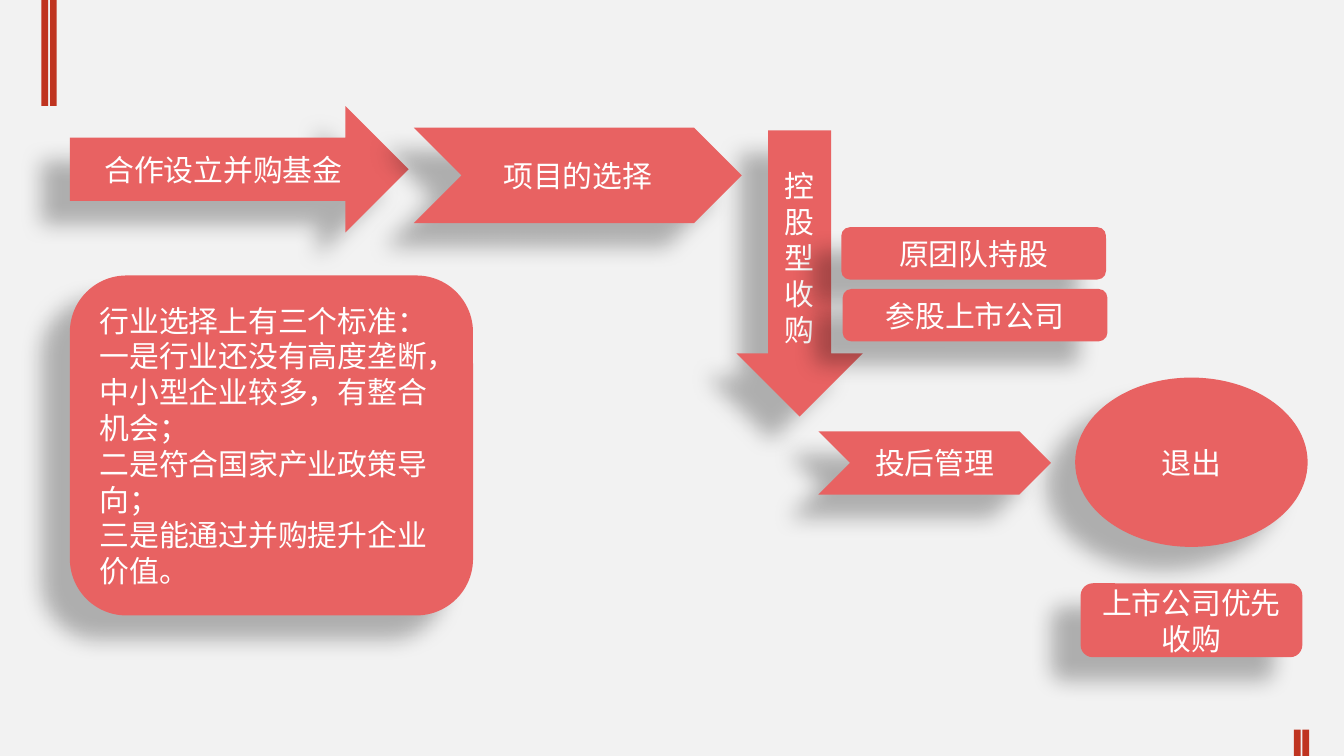
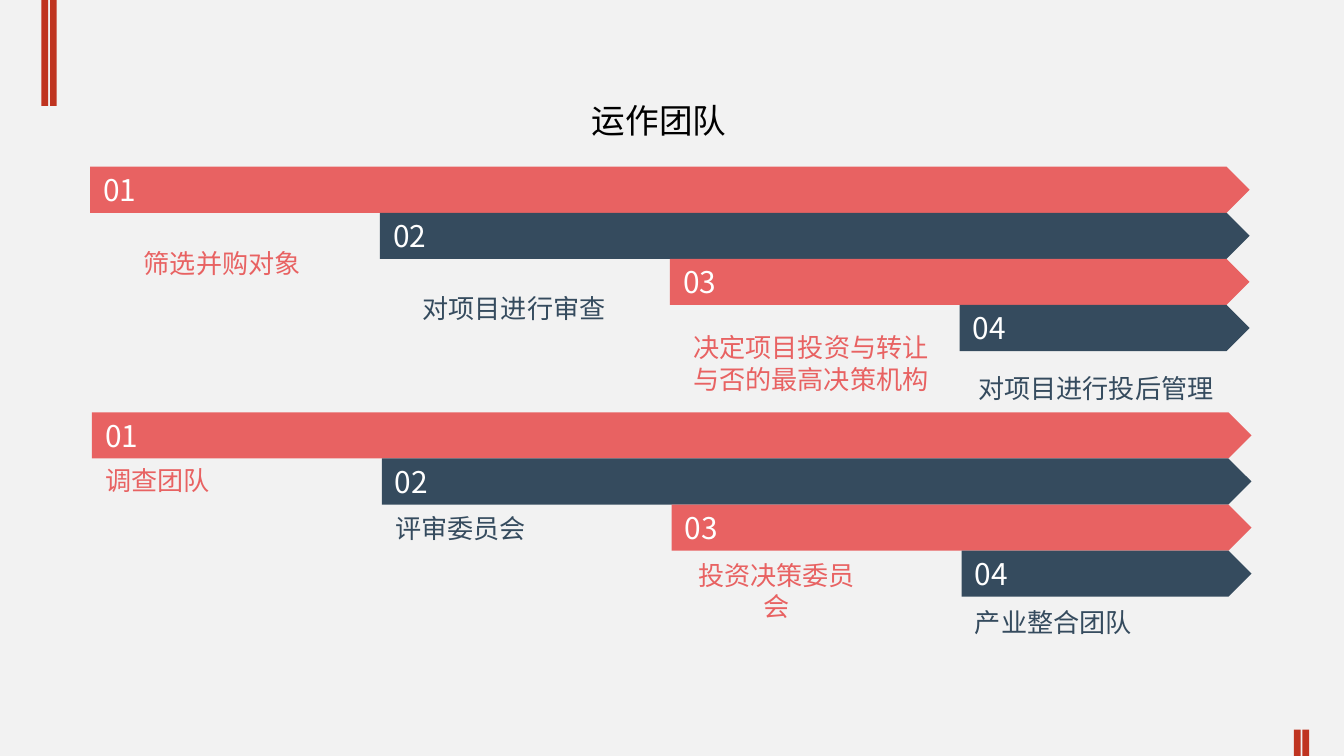
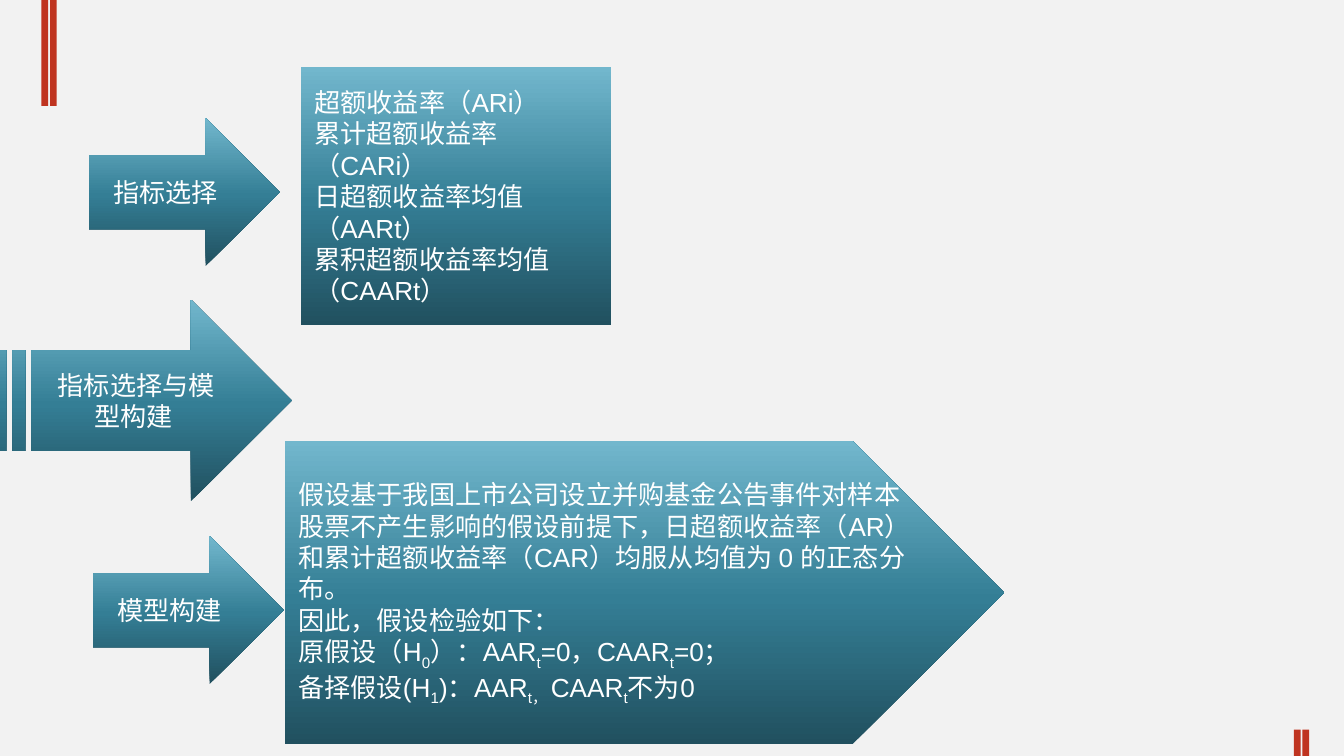
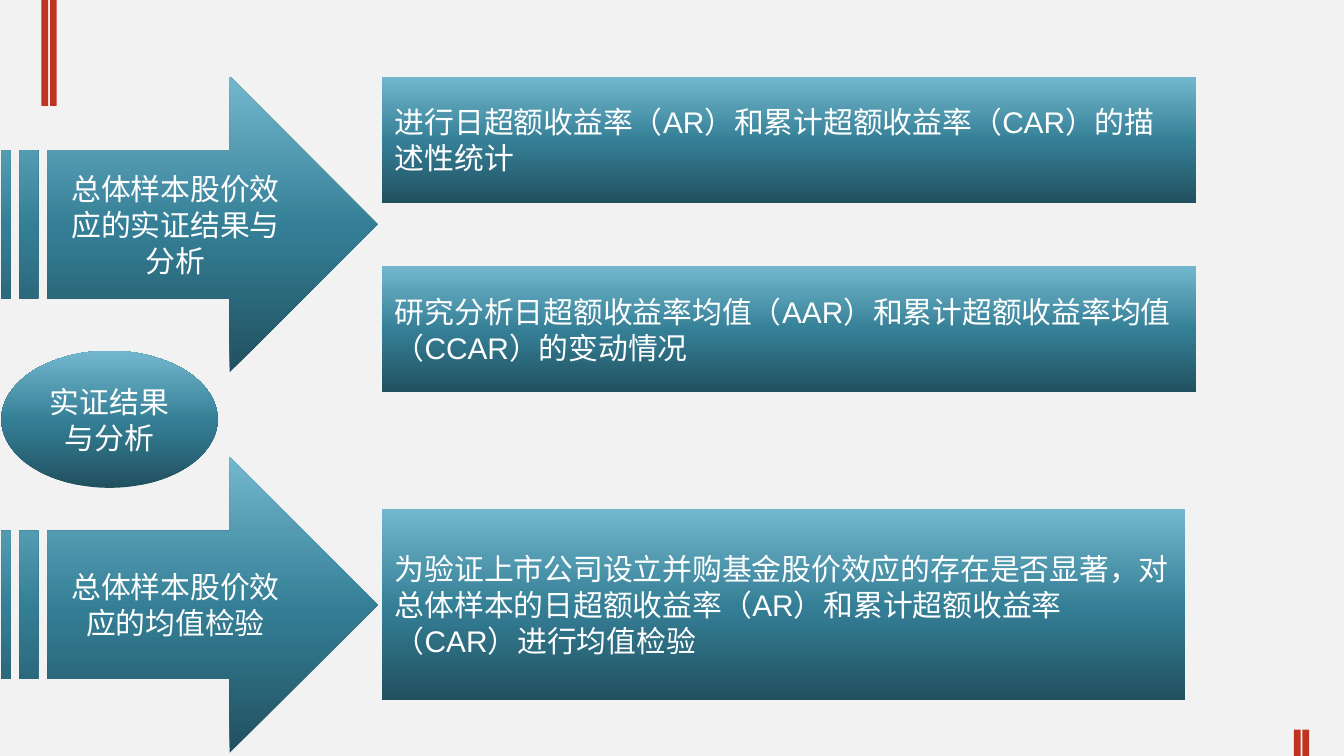
"""Build four slides on buyout funds: process, teams, model and empirical results."""
from copy import deepcopy
from dataclasses import dataclass

from lxml import etree
from pptx import Presentation
from pptx.dml.color import RGBColor as Rgb
from pptx.enum.shapes import MSO_SHAPE as Kind
from pptx.enum.text import MSO_ANCHOR as Anchor, MSO_AUTO_SIZE as AutoSize, PP_ALIGN as Align
from pptx.oxml.ns import qn
from pptx.presentation import Presentation as Deck
from pptx.shapes.autoshape import Shape
from pptx.slide import Slide
from pptx.util import Emu, Inches, Pt

GRID_COLUMNS = 100
GRID_ROWS = 56.25
CELL = Inches(0.1)
TITLE_ONLY, BLANK = 5, 6


@dataclass(frozen=True)
class Theme:
    background: str = "F2F2F2"
    band: str = "BF3420"
    coral: str = "E86262"
    navy: str = "354B5E"
    white: str = "FFFFFF"
    black: str = "000000"
    gradient: tuple[tuple[float, str], ...] = ((0, "21505F"), (0.48, "347E95"), (1, "72B7CD"))
    font: str = "Arial"
    number_font: str = "Noto Sans CJK SC"
    title_size: float = 18
    body_size: float = 16
    small_size: float = 14
    shadow_opacity: float = 0.28
    shadow_blur: float = 11.8
    shadow_distance: float = 19.7
    shadow_angle: int = 141


THEME = Theme()


@dataclass(frozen=True)
class Box:
    """A rectangle in grid columns and rows."""
    column: float
    row: float
    columns: float
    rows: float

    def lengths(self) -> tuple[Emu, ...]:
        return tuple(Emu(round(cells * CELL))
                     for cells in (self.column, self.row, self.columns, self.rows))


@dataclass(frozen=True)
class TextStyle:
    size: float = THEME.body_size
    color: str = THEME.white
    font: str = THEME.font
    align: Align = Align.CENTER
    anchor: Anchor = Anchor.MIDDLE
    wrap: bool = True
    grow: bool = False


@dataclass(frozen=True)
class Block:
    """A preset shape with its paragraphs; underscores enclose subscripts."""
    kind: Kind
    box: Box
    lines: tuple[str, ...]
    style: TextStyle = TextStyle()


@dataclass(frozen=True)
class Caption:
    text: str
    box: Box


CENTERED = TextStyle()
LEFT = TextStyle(align=Align.LEFT)
SMALL = TextStyle(size=THEME.small_size)
SMALL_LEFT = TextStyle(size=THEME.small_size, align=Align.LEFT)
NUMBER = TextStyle(font=THEME.number_font, align=Align.LEFT)
TITLE = TextStyle(size=THEME.title_size, color=THEME.black, anchor=Anchor.TOP, wrap=False, grow=True)

PROCESS = (
    Block(Kind.RIGHT_ARROW, Box(5.2, 7.9, 25.2, 9.4), ("合作设立并购基金",)),
    Block(Kind.DOWN_ARROW, Box(54.8, 9.7, 9.4, 21.3), ("控股型收购",)),
    Block(Kind.OVAL, Box(80, 28.1, 17.3, 12.6), ("退出",)),
    Block(Kind.ROUNDED_RECTANGLE, Box(5.2, 20.5, 30, 25.3), (
        "行业选择上有三个标准：",
        "一是行业还没有高度垄断，中小型企业较多，有整合机会；",
        "二是符合国家产业政策导向；",
        "三是能通过并购提升企业价值。"), LEFT),
    Block(Kind.ROUNDED_RECTANGLE, Box(62.6, 16.9, 19.7, 3.9), ("原团队持股",)),
    Block(Kind.ROUNDED_RECTANGLE, Box(62.7, 21.5, 19.7, 3.9), ("参股上市公司",)),
    Block(Kind.ROUNDED_RECTANGLE, Box(80.4, 43.4, 16.5, 5.5), ("上市公司优先收购",)),
    Block(Kind.CHEVRON, Box(30.8, 9.5, 24.4, 7.1), ("项目的选择",)),
    Block(Kind.CHEVRON, Box(60.9, 32.1, 17.3, 4.7), ("投后管理",)),
)

DUTIES = (
    Caption("筛选并购对象", Box(6.2, 17.9, 20.7, 3.4)),
    Caption("对项目进行审查", Box(27.9, 21.3, 20.7, 3.4)),
    Caption("决定项目投资与转让与否的最高决策机构", Box(50, 24.2, 20.7, 5.7)),
    Caption("对项目进行投后管理", Box(71.2, 27.2, 20.7, 3.4)),
)
TEAMS = ("调查团队", "评审委员会", "投资决策委员会", "产业整合团队")

MODEL = (
    Block(Kind.STRIPED_RIGHT_ARROW, Box(0, 22.3, 21.7, 15), ("指标选择与模型构建 ",), SMALL),
    Block(Kind.PENTAGON, Box(21.2, 32.8, 53.5, 22.6), (
        "假设基于我国上市公司设立并购基金公告事件对样本股票不产生影响的假设前提下，"
        "日超额收益率（AR）和累计超额收益率（CAR）均服从均值为 0 的正态分布。",
        "因此，假设检验如下：",
        "原假设（H_0_）：AAR_t_=0，CAAR_t_=0；",
        "备择假设(H_1_)：AAR_t， _CAAR_t_不为0"), SMALL_LEFT),
    Block(Kind.RIGHT_ARROW, Box(6.6, 8.8, 14.2, 11), ("指标选择",), SMALL),
    Block(Kind.RIGHT_ARROW, Box(6.9, 39.9, 14.2, 11), ("模型构建",), SMALL),
    Block(Kind.RECTANGLE, Box(22.4, 5, 23.1, 19.2), (
        "超额收益率（ARi）",
        "累计超额收益率（CARi）",
        "日超额收益率均值（AARt）",
        "累积超额收益率均值（CAARt）"), SMALL_LEFT),
)

RESULTS = (
    Block(Kind.STRIPED_RIGHT_ARROW, Box(0.1, 5.7, 28, 22), ("总体样本股价效应的实证结果与分析",)),
    Block(Kind.STRIPED_RIGHT_ARROW, Box(0.1, 34, 28, 22), ("总体样本股价效应的均值检验",)),
    Block(Kind.FLOWCHART_PROCESS, Box(28.4, 5.7, 60.6, 9.4), (
        "进行日超额收益率（AR）和累计超额收益率（CAR）的描述性统计",), LEFT),
    Block(Kind.FLOWCHART_PROCESS, Box(28.4, 19.8, 60.6, 9.4), (
        "研究分析日超额收益率均值（AAR）和累计超额收益率均值（CCAR）的变动情况",), LEFT),
    Block(Kind.FLOWCHART_PROCESS, Box(28.4, 37.9, 59.8, 14.2), (
        "为验证上市公司设立并购基金股价效应的存在是否显著，"
        "对总体样本的日超额收益率（AR）和累计超额收益率（CAR）进行均值检验",), LEFT),
    Block(Kind.OVAL, Box(0.1, 26.1, 16.1, 10.2), ("实证结果与分析",)),
)


def write_text(shape: Shape, lines: tuple[str, ...], style: TextStyle) -> None:
    """Fill a shape with styled paragraphs."""
    frame = shape.text_frame
    frame.word_wrap = style.wrap
    frame.vertical_anchor = style.anchor
    frame.auto_size = AutoSize.SHAPE_TO_FIT_TEXT if style.grow else AutoSize.NONE
    for index, line in enumerate(lines):
        paragraph = frame.paragraphs[0] if index == 0 else frame.add_paragraph()
        paragraph.alignment = style.align
        paragraph.font.size = Pt(style.size)
        paragraph.font.name = style.font
        paragraph.font.color.rgb = Rgb.from_string(style.color)
        for position, piece in enumerate(line.split("_")):
            if piece:
                run = paragraph.add_run()
                run.text = piece
                if position % 2:
                    run.font.bold = False
                    list(shape.element.iter(qn("a:rPr")))[-1].set("baseline", "-25000")


def add_plain_shape(slide: Slide, kind: Kind, box: Box, color: str) -> Shape:
    """Add a solid shape without outline or shadow."""
    shape = slide.shapes.add_shape(kind, *box.lengths())
    shape.shadow.inherit = False
    shape.line.fill.background()
    shape.fill.solid()
    shape.fill.fore_color.rgb = Rgb.from_string(color)
    return shape


def add_block(slide: Slide, block: Block, color: str = THEME.coral) -> Shape:
    """Add a shape with its text."""
    shape = add_plain_shape(slide, block.kind, block.box, color)
    write_text(shape, block.lines, block.style)
    return shape


def cast_shadow(shape: Shape) -> None:
    """Give a shape the soft shadow of the theme."""
    effects = shape.element.find(f".//{qn('a:effectLst')}")
    shadow = etree.SubElement(
        effects, qn("a:outerShdw"), blurRad=str(Pt(THEME.shadow_blur)),
        dist=str(Pt(THEME.shadow_distance)), dir=str(THEME.shadow_angle * 60000),
        algn="ctr", rotWithShape="0")
    color = etree.SubElement(shadow, qn("a:srgbClr"), val=THEME.black)
    etree.SubElement(color, qn("a:alpha"), val=str(round(THEME.shadow_opacity * 100000)))


def apply_gradient(shape: Shape) -> None:
    """Fill a shape with the vertical gradient of the theme."""
    shape.fill.gradient()
    shape.fill.gradient_angle = 90
    stop_list = shape.element.find(f".//{qn('a:gsLst')}")
    stop_list.append(deepcopy(stop_list[-1]))
    for stop, (position, color) in zip(shape.fill.gradient_stops, THEME.gradient):
        stop.position = position
        stop.color.rgb = Rgb.from_string(color)


def add_caption(slide: Slide, caption: Caption, color: str, wrap: bool) -> None:
    """Add a small coloured caption."""
    shape = slide.shapes.add_textbox(*caption.box.lengths())
    write_text(shape, (caption.text,), TextStyle(
        size=THEME.small_size, color=color, anchor=Anchor.TOP, wrap=wrap, grow=True))


def ladder_color(index: int) -> str:
    """Alternate the two ladder colours."""
    return (THEME.coral, THEME.navy)[index % 2]


def add_ladder(slide: Slide, column: float, row: float) -> None:
    """Add four numbered bars that step down to the right."""
    step, height, count = 21.57, 3.43, 4
    for index in range(count):
        box = Box(column + step * index, row + height * index, step * (count - index), height)
        add_block(slide, Block(Kind.PENTAGON, box, (f"{index + 1:02}",), NUMBER), ladder_color(index))


def add_new_slide(presentation: Deck, layout: int) -> Slide:
    """Add a slide with the chosen layout."""
    return presentation.slides.add_slide(presentation.slide_layouts[layout])


def build_process(presentation: Deck) -> Slide:
    """Build the buyout process slide."""
    slide = add_new_slide(presentation, BLANK)
    for block in PROCESS:
        cast_shadow(add_block(slide, block))
    return slide


def build_teams(presentation: Deck) -> None:
    """Build the slide of duties and teams."""
    slide = add_new_slide(presentation, TITLE_ONLY)
    title = slide.shapes.title
    title.left, title.top, title.width, title.height = Box(43, 6.9, 12.1, 4).lengths()
    write_text(title, ("运作团队",), TITLE)
    add_ladder(slide, 6.7, 12.4)
    for index, duty in enumerate(DUTIES):
        add_caption(slide, duty, ladder_color(index), True)
    add_ladder(slide, 6.84, 30.68)
    for index, team in enumerate(TEAMS):
        width = 2 + len(team) * THEME.small_size / 7.2
        box = Box(6.84 + 21.57 * index, 34.1 + 3.5 * index, width, 3.4)
        add_caption(slide, Caption(team, box), ladder_color(index), False)


def build_gradient_slide(presentation: Deck, blocks: tuple[Block, ...]) -> None:
    """Build a slide of gradient blocks."""
    slide = add_new_slide(presentation, BLANK)
    for block in blocks:
        apply_gradient(add_block(slide, block))


def decorate_master(presentation: Deck, slide: Slide) -> None:
    """Put the background and the corner bands on the master."""
    master = presentation.slide_master
    master.background.fill.solid()
    master.background.fill.fore_color.rgb = Rgb.from_string(THEME.background)
    for left, top, height in ((3.08, 0, 7.88), (96.27, 54.29, 1.96)):
        for offset in (0, 0.64):
            band = add_plain_shape(slide, Kind.RECTANGLE, Box(left + offset, top, 0.5, height), THEME.band)
            master.shapes.element.append(band.element)


def main() -> None:
    """Build and save the presentation."""
    presentation = Presentation()
    presentation.slide_width = Emu(round(GRID_COLUMNS * CELL))
    presentation.slide_height = Emu(round(GRID_ROWS * CELL))
    process = build_process(presentation)
    decorate_master(presentation, process)
    build_teams(presentation)
    for blocks in (MODEL, RESULTS):
        build_gradient_slide(presentation, blocks)
    presentation.save("out.pptx")


main()
